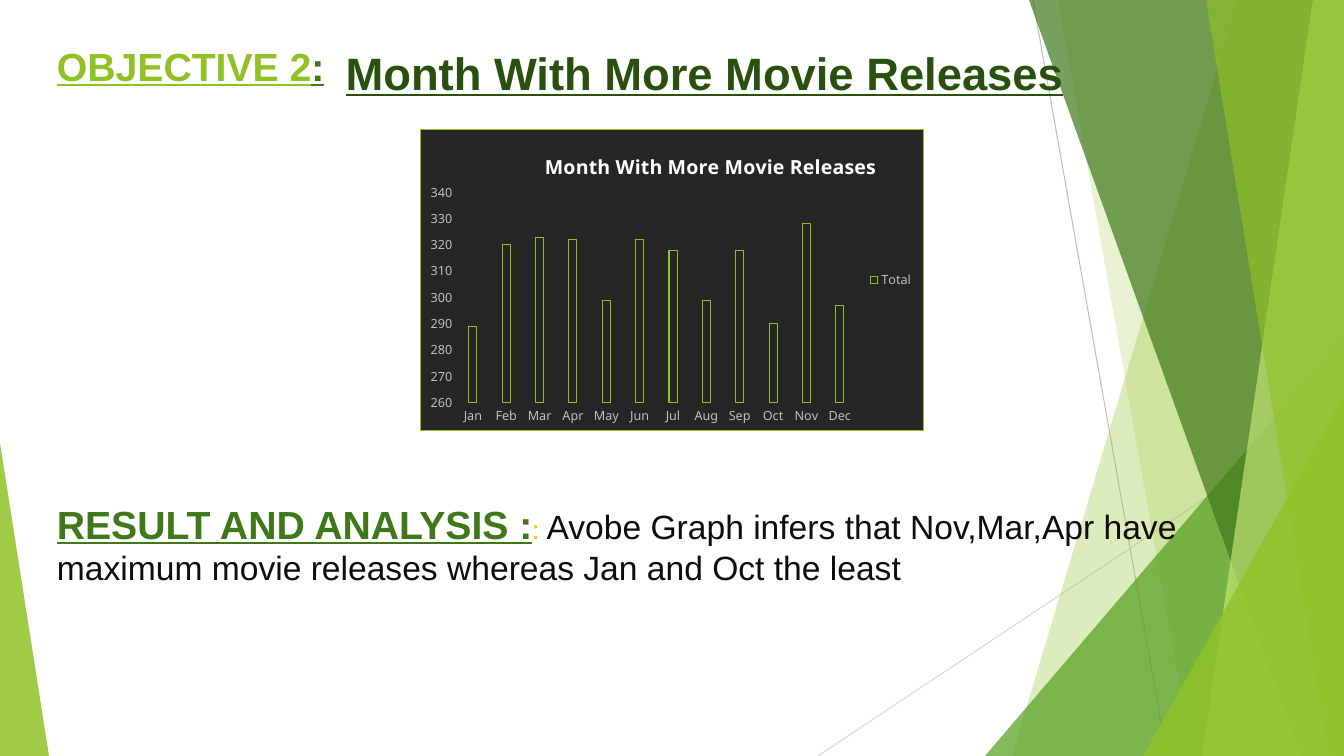
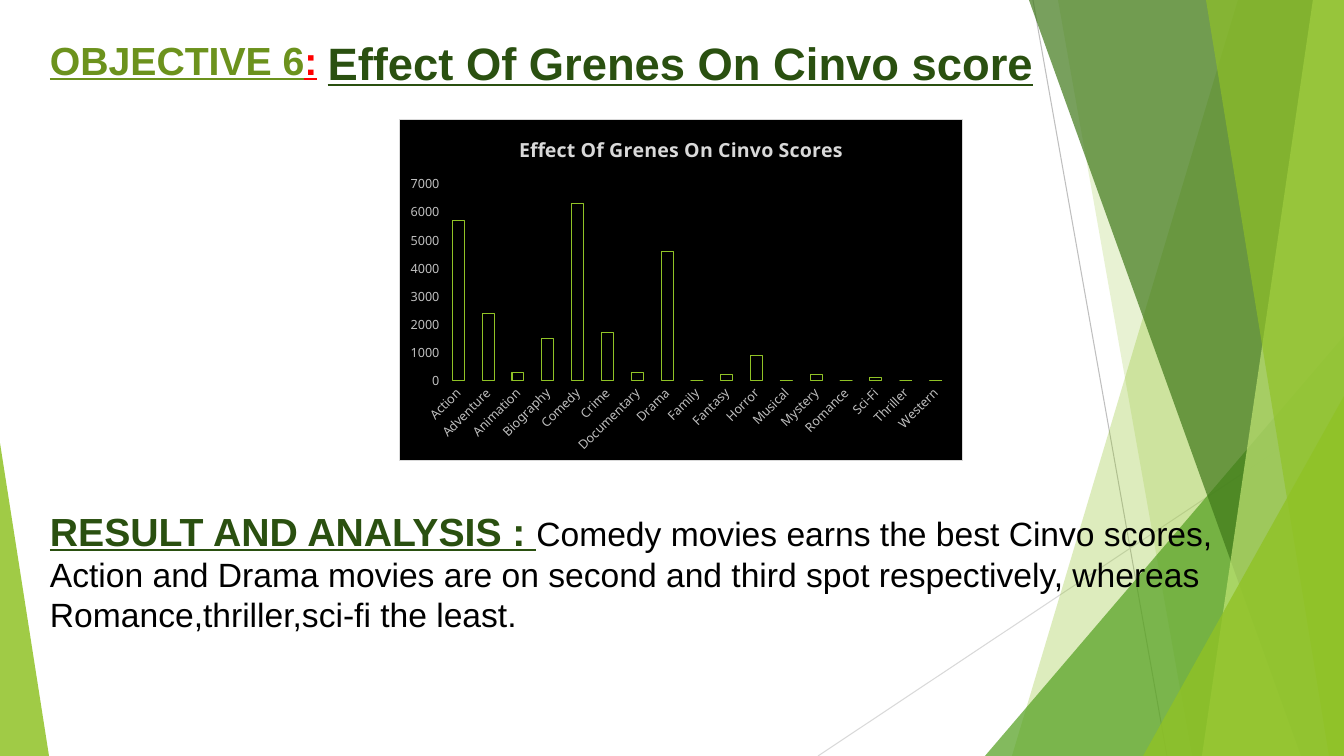
"""Build two film analysis slides with a faceted green frame and a column chart."""
from lxml.etree import SubElement
from pptx import Presentation
from pptx.chart.data import CategoryChartData
from pptx.dml.color import RGBColor
from pptx.enum.chart import XL_CHART_TYPE, XL_LEGEND_POSITION, XL_TICK_MARK
from pptx.enum.shapes import MSO_CONNECTOR, MSO_SHAPE
from pptx.enum.text import MSO_ANCHOR, MSO_AUTO_SIZE, PP_ALIGN
from pptx.oxml import parse_xml
from pptx.oxml.ns import nsdecls, qn
from pptx.util import Emu, Pt

LIME = RGBColor(0x90, 0xC2, 0x26)
OLIVE = RGBColor(0x6C, 0x92, 0x1D)
LEAF = RGBColor(0x54, 0xA0, 0x21)
FOREST = RGBColor(0x3F, 0x78, 0x19)
DARK = RGBColor(0x2A, 0x50, 0x10)
PALE = RGBColor(0xC0, 0xE4, 0x74)
GOLD = RGBColor(0xFF, 0xC0, 0x00)
RED = RGBColor(0xFF, 0x00, 0x00)
WHITE = RGBColor(0xFF, 0xFF, 0xFF)
BLACK = RGBColor(0x00, 0x00, 0x00)
INK = RGBColor(0x0D, 0x0D, 0x0D)
GREY = RGBColor(0xBF, 0xBF, 0xBF)
MIST = RGBColor(0xD9, 0xD9, 0xD9)
HEAD, BODY = "Arial", "Noto Sans"
WIDE, HIGH = 1344, 756
PX = 914400 / 100.8


def write(slide, box, runs, wrap=True):
    """Add a text box; each run is text, size, colour, heading flag and font."""
    frame = slide.shapes.add_textbox(*[Emu(round(n * PX)) for n in box]).text_frame
    frame.word_wrap = wrap
    frame.auto_size = MSO_AUTO_SIZE.SHAPE_TO_FIT_TEXT
    for text, size, color, strong, face in runs:
        run = frame.paragraphs[0].add_run()
        run.text = text
        run.font.size = Pt(size)
        run.font.name = face
        run.font.color.rgb = color
        run.font.bold = run.font.underline = strong
    return frame


def place(node, index, **parts):
    """Give a chart part a manual layout in fractions of the chart."""
    for old in node.findall(qn("c:layout")):
        node.remove(old)
    layout = parse_xml(f"<c:layout {nsdecls('c')}><c:manualLayout/></c:layout>")
    for name, value in parts.items():
        SubElement(layout[0], qn(f"c:{name}")).set("val", str(value))
    node.insert(index, layout)


lines = [((1033, 0, 1167, HIGH), GREY), ((WIDE, 406, 818, HIGH), MIST)]
facets = [
    ((1238, 1012), LIME, 30),
    ((1058, 1192), LIME, 20),
    ((985, 336, 359, 420, 1), LEAF, 72),
    ((1029, 1301), FOREST, 70),
    ((1313, 1202), PALE, 70),
    ((1206, 1329), LIME, 65),
    ((1143, 396, 201, 360, 1), LIME, 80),
    ((0, 443, 49, 313, 0), LIME, 85),
]
pages = [
    dict(
        title="Month With More Movie Releases", head=(125, 40, 1159, 146),
        tag=(47, 37, 291, 57),
        goal=[("OBJECTIVE 2", 28, LIME, True, HEAD), (":", 28, FOREST, True, HEAD)],
        note=(47, 495, 1238, 99),
        result=[
            ("RESULT AND ANALYSIS :", 28, FOREST, True, HEAD),
            (":", 18, GOLD, False, BODY),
            (" Avobe Graph infers that Nov,Mar,Apr have maximum movie releases "
             "whereas Jan and Oct the least", 24, INK, False, HEAD),
        ],
        area=(420, 129, 504, 302), plot=(456, 192, 401, 211), at=(541, 147),
        label="Month With More Movie Releases", tint=WHITE,
        shade=85, edge=LIME, gap=315, lap=-40, span=(260, 340, 10),
        legend=True, turn=0, series="Total",
        data=dict(Jan=289, Feb=320, Mar=323, Apr=322, May=299, Jun=322,
                  Jul=318, Aug=299, Sep=318, Oct=290, Nov=328, Dec=297),
    ),
    dict(
        title="Effect Of Grenes On Cinvo score", head=(259, 30, 843, 146),
        tag=(40, 31, 291, 57),
        goal=[("OBJECTIVE 6", 28, OLIVE, True, HEAD), (":", 28, RED, True, HEAD)],
        note=(40, 502, 1256, 139),
        result=[
            ("RESULT AND ANALYSIS : ", 28, DARK, True, HEAD),
            ("Comedy movies earns the best Cinvo scores, Action and Drama movies "
             "are on second and third spot respectively, whereas "
             "Romance,thriller,sci-fi the least.", 24, BLACK, False, HEAD),
        ],
        area=(399, 119, 564, 342), plot=(443, 184, 508, 197), at=(515, 130),
        label="Effect Of Grenes On Cinvo Scores", tint=MIST,
        shade=100, edge=MIST, gap=150, lap=0, span=(0, 7000, 1000),
        legend=False, turn=-45, series="Series 1",
        data={"Action": 5700, "Adventure": 2400, "Animation": 300,
              "Biography": 1500, "Comedy": 6300, "Crime": 1700,
              "Documentary": 300, "Drama": 4600, "Family": 0, "Fantasy": 200,
              "Horror": 900, "Musical": 0, "Mystery": 200, "Romance": 0,
              "Sci-Fi": 100, "Thriller": 0, "Western": 0},
    ),
]

deck = Presentation()
deck.slide_width, deck.slide_height = Emu(round(WIDE * PX)), Emu(round(HIGH * PX))

for page in pages:
    slide = deck.slides.add_slide(deck.slide_layouts[6])

    for ends, color in lines:
        line = slide.shapes.add_connector(
            MSO_CONNECTOR.STRAIGHT, *[Emu(round(n * PX)) for n in ends])
        line.line.color.rgb = color
        line.line.width = Pt(0.75)
        SubElement(line._element.spPr, qn("a:effectLst"))

    for form, color, alpha in facets:
        if len(form) == 2:
            top, foot = form
            pen = slide.shapes.build_freeform(top, 0, scale=PX)
            pen.add_line_segments([(WIDE, 0), (WIDE, HIGH), (foot, HIGH)])
            facet = pen.convert_to_shape()
        else:
            facet = slide.shapes.add_shape(
                MSO_SHAPE.ISOSCELES_TRIANGLE, *[Emu(round(n * PX)) for n in form[:4]])
            facet.adjustments[0] = form[4]
        facet.shadow.inherit = False
        facet.line.fill.background()
        facet.fill.solid()
        facet.fill.fore_color.rgb = color
        tone = facet._element.spPr.find(qn("a:solidFill"))[0]
        SubElement(tone, qn("a:alpha")).set("val", str(alpha * 1000))

    title = write(slide, page["head"], [(page["title"], 32.4, DARK, True, HEAD)])
    title.auto_size = MSO_AUTO_SIZE.NONE
    title.vertical_anchor = MSO_ANCHOR.TOP
    title.paragraphs[0].alignment = PP_ALIGN.CENTER
    write(slide, page["tag"], page["goal"], wrap=False)

    data = CategoryChartData()
    data.categories = list(page["data"])
    data.add_series(page["series"], list(page["data"].values()))
    chart = slide.shapes.add_chart(
        XL_CHART_TYPE.COLUMN_CLUSTERED,
        *[Emu(round(n * PX)) for n in page["area"]], data).chart
    chart.font.name = BODY
    chart.font.size = Pt(10)
    chart.font.color.rgb = BLACK

    chart.has_title = True
    run = chart.chart_title.text_frame.paragraphs[0].add_run()
    run.text = page["label"]
    run.font.name = BODY
    run.font.size = Pt(14)
    run.font.bold = True
    run.font.color.rgb = page["tint"]

    bars = chart.plots[0]
    bars.gap_width, bars.overlap = page["gap"], page["lap"]
    bars.vary_by_categories = False
    bar = bars.series[0].format
    bar.fill.background()
    bar.line.color.rgb = LIME
    bar.line.width = Pt(0.75)

    fonts = []
    for axis in (chart.category_axis, chart.value_axis):
        axis.has_major_gridlines = False
        axis.major_tick_mark = axis.minor_tick_mark = XL_TICK_MARK.NONE
        axis.format.line.fill.background()
        fonts.append(axis.tick_labels.font)
    scale = chart.value_axis
    scale.minimum_scale, scale.maximum_scale, scale.major_unit = page["span"]
    names = chart.category_axis._element.find(qn("c:txPr"))
    names.find(qn("a:bodyPr")).set("rot", str(page["turn"] * 60000))

    chart.has_legend = page["legend"]
    if page["legend"]:
        chart.legend.position = XL_LEGEND_POSITION.RIGHT
        chart.legend.include_in_layout = False
        fonts.append(chart.legend.font)
    for font in fonts:
        font.name = BODY
        font.size = Pt(9)
        font.color.rgb = GREY

    left, top, width, height = page["area"]
    x, y, w, h = page["plot"]
    place(chart._chartSpace.chart.plotArea, 0, layoutTarget="inner",
          xMode="edge", yMode="edge",
          x=round((x - left) / width, 3), y=round((y - top) / height, 3),
          w=round(w / width, 3), h=round(h / height, 3))
    x, y = page["at"]
    place(chart.chart_title._element, 1, xMode="edge", yMode="edge",
          x=round((x - left) / width, 3), y=round((y - top) / height, 3))

    chart._chartSpace.chart.addnext(parse_xml(
        f"<c:spPr {nsdecls('c', 'a')}><a:solidFill><a:srgbClr val='{BLACK}'>"
        f"<a:alpha val='{page['shade'] * 1000}'/></a:srgbClr></a:solidFill>"
        f"<a:ln w='{Pt(0.75)}'><a:solidFill><a:srgbClr val='{page['edge']}'/>"
        "</a:solidFill></a:ln></c:spPr>"))

    write(slide, page["note"], page["result"])

deck.save("out.pptx")
